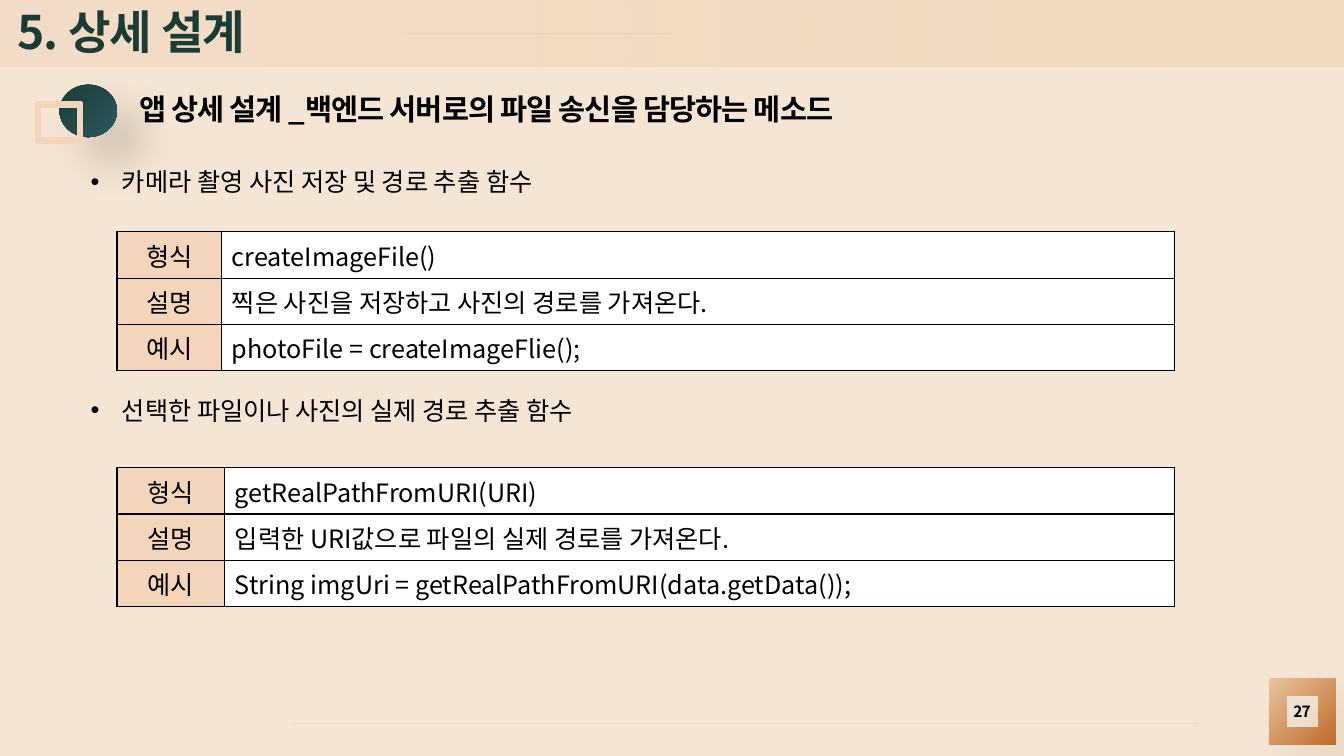
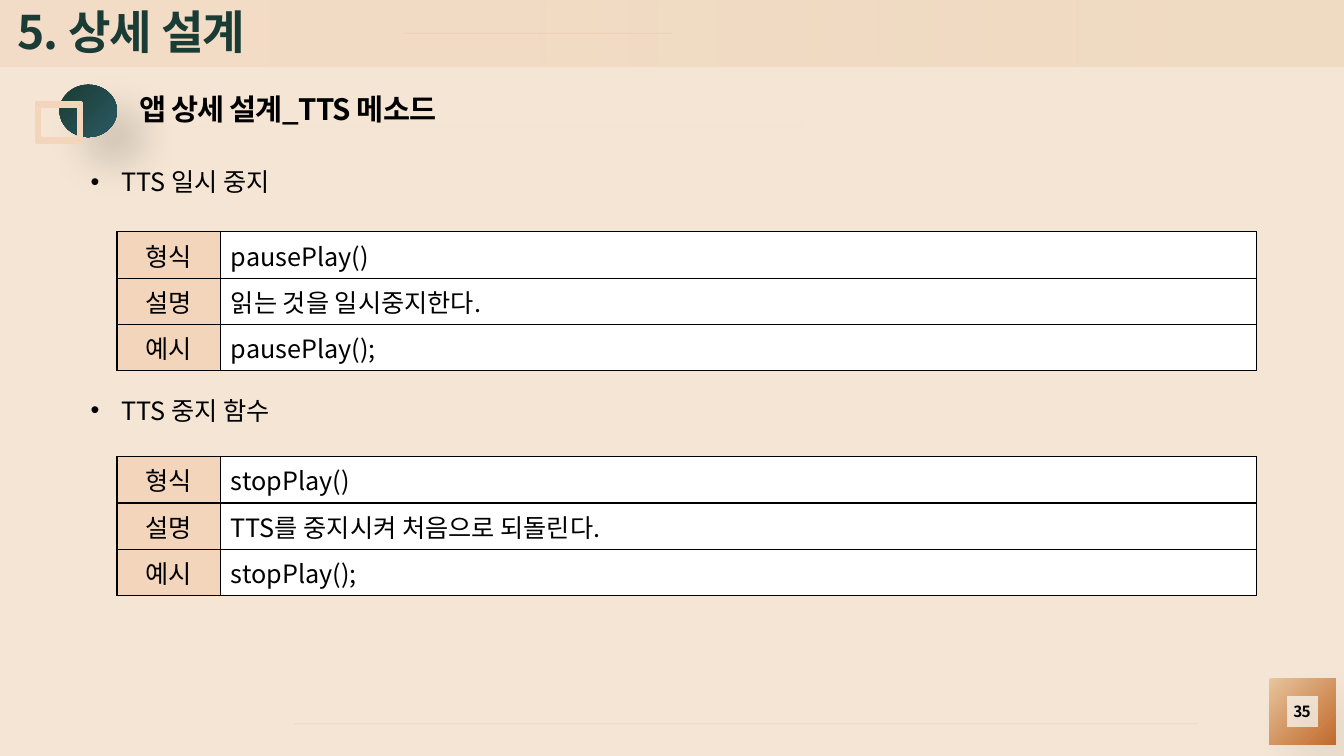
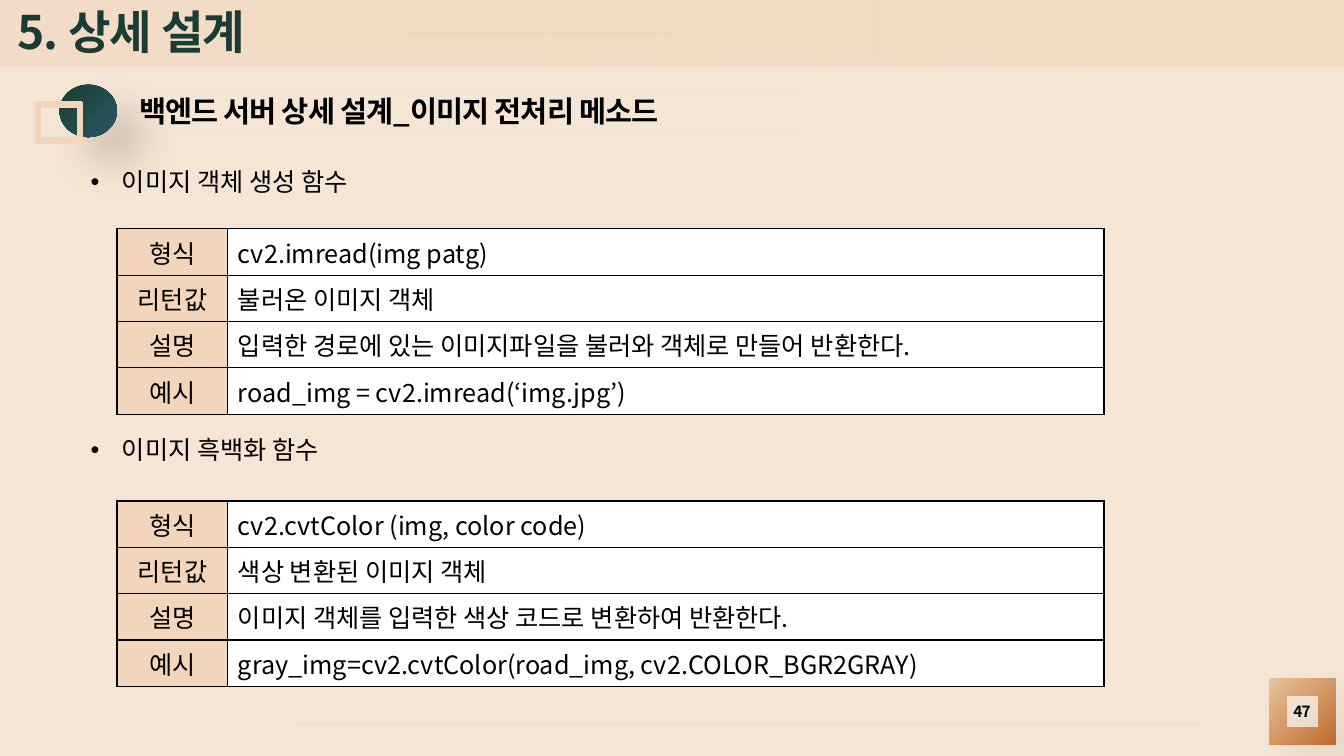
"""Build three detailed-design slides that describe methods in bordered tables."""
from dataclasses import dataclass, field

from lxml.etree import SubElement
from pptx import Presentation
from pptx.dml.color import RGBColor
from pptx.enum.shapes import MSO_CONNECTOR, MSO_SHAPE
from pptx.enum.text import MSO_ANCHOR, PP_ALIGN
from pptx.oxml.ns import qn
from pptx.util import Inches, Pt


@dataclass(frozen=True)
class Theme:
    """Colours and type styles of the deck."""

    font: str = "Noto Sans CJK KR"
    paper: RGBColor = RGBColor.from_string("F4E5D4")
    white: RGBColor = RGBColor.from_string("FFFFFF")
    black: RGBColor = RGBColor.from_string("000000")
    title: RGBColor = RGBColor.from_string("1B3C35")
    sand: RGBColor = RGBColor.from_string("E7C49D")
    peach: RGBColor = RGBColor.from_string("F3D5BB")
    rust: RGBColor = RGBColor.from_string("C16A2C")
    rule: RGBColor = RGBColor.from_string("E3AB83")
    edge: RGBColor = RGBColor.from_string("D9D9D9")
    forest: RGBColor = RGBColor.from_string("1B3C33")
    teal: RGBColor = RGBColor.from_string("2A5963")
    tan: RGBColor = RGBColor.from_string("E4C2A9")
    styles: dict = field(default_factory=lambda: {
        "title": {"size": Pt(33), "bold": True},
        "heading": {"size": Pt(21), "bold": True},
        "number": {"size": Pt(11), "bold": True},
        "body": {"size": Pt(18), "bold": False},
    })


theme = Theme()


def set_alpha(element, percents):
    """Give each colour below the element its opacity."""
    for color, percent in zip(element.iter(qn("a:srgbClr")), percents):
        SubElement(color, qn("a:alpha"), val=str(percent * 1000))


def write_text(frame, text, style, color=theme.black, align=PP_ALIGN.LEFT):
    """Write one styled paragraph into a text frame."""
    para = frame.paragraphs[0]
    para.alignment = align
    span = para.add_run()
    span.text = text
    span.font.color.rgb = color
    span.font.name = theme.font
    for name, value in theme.styles[style].items():
        setattr(span.font, name, value)
    properties = span.font._element
    SubElement(properties, qn("a:ea"), typeface=theme.font)
    if style != "body":
        properties.set("spc", "-60")


three_labels = ("형식", "설명", "예시")
four_labels = ("형식", "리턴값", "설명", "예시")
row_height = 0.46

pages = [
    {
        "number": "27",
        "heading": "앱 상세 설계 _백엔드 서버로의 파일 송신을 담당하는 메소드",
        "heading_area": (0.89, 7.79),
        "labels": three_labels,
        "table_width": 10.49,
        "sections": [
            (1.6, "카메라 촬영 사진 저장 및 경로 추출 함수", 2.3, 1.04,
             ("createImageFile()",
              "찍은 사진을 저장하고 사진의 경로를 가져온다.",
              "photoFile = createImageFlie();")),
            (3.87, "선택한 파일이나 사진의 실제 경로 추출 함수", 4.64, 1.07,
             ("getRealPathFromURI(URI)",
              "입력한 URI값으로 파일의 실제 경로를 가져온다.",
              "String imgUri = getRealPathFromURI(data.getData());")),
        ],
    },
    {
        "number": "35",
        "heading": "앱 상세 설계_TTS 메소드",
        "heading_area": (0.89, 6.57),
        "labels": three_labels,
        "table_width": 11.3,
        "sections": [
            (1.6, "TTS 일시 중지", 2.3, 1.03,
             ("pausePlay()", "읽는 것을 일시중지한다.", "pausePlay();")),
            (3.87, "TTS 중지 함수", 4.53, 1.03,
             ("stopPlay()", "TTS를 중지시켜 처음으로 되돌린다.", "stopPlay();")),
        ],
    },
    {
        "number": "47",
        "heading": "백엔드 서버 상세 설계_이미지 전처리 메소드",
        "heading_area": (0.91, 6.57),
        "labels": four_labels,
        "table_width": 9.79,
        "sections": [
            (1.6, "이미지 객체 생성 함수", 2.27, 1.1,
             ("cv2.imread(img patg)",
              "불러온 이미지 객체",
              "입력한 경로에 있는 이미지파일을 불러와 객체로 만들어 반환한다.",
              "road_img = cv2.imread(‘img.jpg’)")),
            (4.26, "이미지 흑백화 함수", 4.97, 1.1,
             ("cv2.cvtColor (img, color code)",
              "색상 변환된 이미지 객체",
              "이미지 객체를 입력한 색상 코드로 변환하여 반환한다.",
              "gray_img=cv2.cvtColor(road_img, cv2.COLOR_BGR2GRAY)")),
        ],
    },
]

gradient_shapes = [
    (MSO_SHAPE.FRAME, (0, 0, 13.33, 0.66), 0.5, (theme.sand, theme.peach), 180, (31, 50), None),
    (MSO_SHAPE.FRAME, (12.59, 6.73, 0.66, 0.66), 0.265, (theme.sand, theme.rust), 315, (), 8),
    (MSO_SHAPE.OVAL, (0.59, 0.84, 0.57, 0.52), None, (theme.forest, theme.teal), 315, (), 17),
]

deck = Presentation()
deck.slide_width, deck.slide_height = Inches(13.33), Inches(7.5)
background = deck.slide_master.background.fill
background.solid()
background.fore_color.rgb = theme.paper

for content in pages:
    page = deck.slides.add_slide(deck.slide_layouts[6])

    for preset, area, thickness, colors, angle, opacity, shadow in gradient_shapes:
        shape = page.shapes.add_shape(preset, *map(Inches, area))
        if thickness is not None:
            shape.adjustments[0] = thickness
        shape.fill.gradient()
        shape.fill.gradient_angle = angle
        for stop, color in zip(shape.fill.gradient_stops, colors):
            stop.color.rgb = color
        set_alpha(shape._element.spPr, opacity)
        shape.line.fill.background()
        shape.shadow.inherit = False
        if shadow:
            effects = shape._element.spPr.find(qn("a:effectLst"))
            outer = SubElement(effects, qn("a:outerShdw"), blurRad=str(Pt(30)),
                               dist=str(Pt(26)), dir="2700000", algn="tl", rotWithShape="0")
            SubElement(outer, qn("a:srgbClr"), val=str(theme.black))
            set_alpha(outer, (shadow,))

    for left, right, height in ((4.01, 6.67, 0.33), (2.91, 11.88, 7.18)):
        rule = page.shapes.add_connector(
            MSO_CONNECTOR.STRAIGHT, Inches(left), Inches(height), Inches(right), Inches(height))
        rule.line.color.rgb = theme.rule
        rule.line.width = Pt(0.5)
        set_alpha(rule._element.spPr, (24,))
        SubElement(rule._element.spPr, qn("a:effectLst"))

    marker = page.shapes.add_shape(
        MSO_SHAPE.FRAME, Inches(0.36), Inches(1.02), Inches(0.45), Inches(0.39))
    marker.adjustments[0] = 0.08
    marker.fill.solid()
    marker.fill.fore_color.rgb = theme.tan
    marker.line.color.rgb = theme.peach
    marker.line.width = Pt(2.25)
    marker.shadow.inherit = False

    heading_top, heading_width = content["heading_area"]
    for style, text, area, color, align in (
        ("title", "5. 상세 설계", (0.17, 0, 8.54, 0.62), theme.title, PP_ALIGN.LEFT),
        ("number", content["number"], (12.6, 6.95, 0.63, 0.22), theme.black, PP_ALIGN.CENTER),
        ("heading", content["heading"], (1.38, heading_top, heading_width, 0.37),
         theme.black, PP_ALIGN.LEFT),
    ):
        box = page.shapes.add_textbox(*map(Inches, area))
        frame_format = {"word_wrap": True, "vertical_anchor": MSO_ANCHOR.MIDDLE,
                        "margin_left": 0, "margin_right": 0, "margin_top": 0, "margin_bottom": 0}
        for name, value in frame_format.items():
            setattr(box.text_frame, name, value)
        write_text(box.text_frame, text, style, color, align)
        if style != "number":
            box.line.color.rgb = theme.edge
            box.line.width = Pt(0.25)
            set_alpha(box._element.spPr, (5,))

    for bullet_top, caption, table_top, label_width, values in content["sections"]:
        box = page.shapes.add_textbox(Inches(0.8), Inches(bullet_top), Inches(5.39), Inches(0.4))
        box.text_frame.word_wrap = True
        properties = box.text_frame.paragraphs[0]._p.get_or_add_pPr()
        properties.set("marL", str(Inches(0.31)))
        properties.set("indent", str(Inches(-0.31)))
        SubElement(properties, qn("a:buFont"), typeface="Arial")
        SubElement(properties, qn("a:buChar"), char="•")
        write_text(box.text_frame, caption, "body")

        table = page.shapes.add_table(
            len(values), 2, Inches(1.16), Inches(table_top),
            Inches(content["table_width"]), Inches(row_height * len(values))).table
        table.first_row = table.horz_banding = False
        table.columns[0].width = Inches(label_width)
        table.columns[1].width = Inches(content["table_width"] - label_width)
        for row, texts in zip(table.rows, zip(content["labels"], values)):
            row.height = Inches(row_height)
            for cell, text, color, align in zip(
                    row.cells, texts, (theme.peach, theme.white), (PP_ALIGN.CENTER, PP_ALIGN.LEFT)):
                properties = cell._tc.get_or_add_tcPr()
                for side in ("a:lnL", "a:lnR", "a:lnT", "a:lnB"):
                    border = SubElement(properties, qn(side), w=str(Pt(1)))
                    paint = SubElement(border, qn("a:solidFill"))
                    SubElement(paint, qn("a:srgbClr"), val=str(theme.black))
                cell.fill.solid()
                cell.fill.fore_color.rgb = color
                write_text(cell.text_frame, text, "body", align=align)

deck.save("out.pptx")
